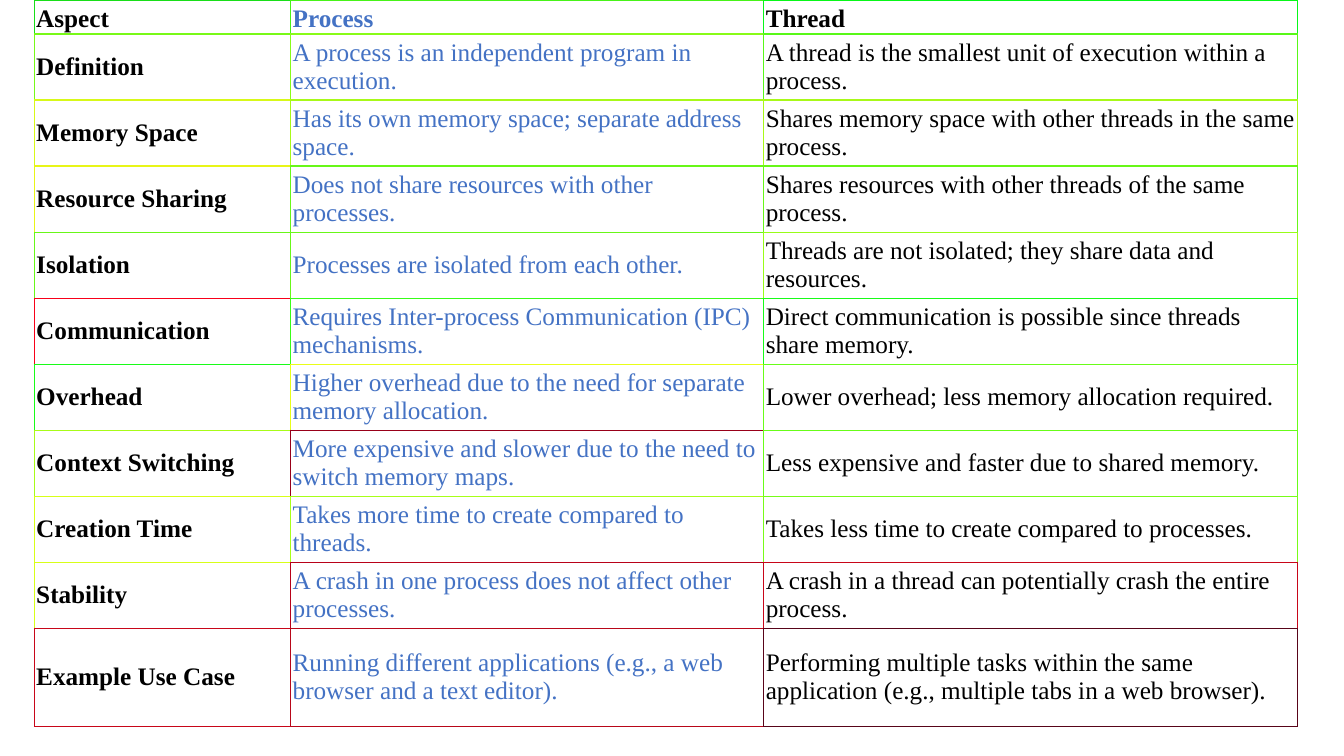
from lxml import etree
from pptx import Presentation, util as u
from pptx.dml.color import RGBColor
from pptx.enum import text
from pptx.oxml import ns

HUES = {"ink": "000000", "blue": "4472C4", "paper": "FFFFFF"}
INKS = ("ink", "blue", "ink")
COLS = (19.08, 35.2, 39.72)
ROWS = (4.5, *[8.74] * 9, 12.97)
FONT = {"name": "Times New Roman", "size": u.Pt(18)}
PADS = {
    "margin_left": u.Inches(0.02), "margin_right": u.Inches(0.02),
    "margin_top": u.Inches(0.01), "margin_bottom": u.Inches(0.01),
}
WORDS = (
    ("Aspect", "Process", "Thread"),
    ("Definition", "A process is an independent program in execution.",
     "A thread is the smallest unit of execution within a process."),
    ("Memory Space", "Has its own memory space; separate address space.",
     "Shares memory space with other threads in the same process."),
    ("Resource Sharing", "Does not share resources with other processes.",
     "Shares resources with other threads of the same process."),
    ("Isolation", "Processes are isolated from each other.",
     "Threads are not isolated; they share data and resources."),
    ("Communication", "Requires Inter-process Communication (IPC) mechanisms.",
     "Direct communication is possible since threads share memory."),
    ("Overhead", "Higher overhead due to the need for separate memory allocation.",
     "Lower overhead; less memory allocation required."),
    ("Context Switching", "More expensive and slower due to the need to switch memory maps.",
     "Less expensive and faster due to shared memory."),
    ("Creation Time", "Takes more time to create compared to threads.",
     "Takes less time to create compared to processes."),
    ("Stability", "A crash in one process does not affect other processes.",
     "A crash in a thread can potentially crash the entire process."),
    ("Example Use Case", "Running different applications (e.g., a web browser and a text editor).",
     "Performing multiple tasks within the same application (e.g., multiple tabs in a web browser)."),
)
EDGES = (
    ("18DE18", "48F318", "08F718"),
    ("78F918", "88FB18", "58F818"),
    ("D8F918", "A8F918", "A8F918"),
    ("E8F518", "68F718", "68F718"),
    ("68F718", "68F718", "98FD18"),
    ("F80019", "38FD18", "18FC18"),
    ("18FC18", "E8FE18", "68FD18"),
    ("A8FC18", "980019", "68FD18"),
    ("D8FF18", "A8FF18", "78FC18"),
    ("D8FF18", "B80119", "C80619"),
    ("C80619", "B80719", "580419"),
)


def put(item, values):
    for key, value in values.items():
        setattr(item, key, value)


class Deck:
    """Holds the style and the current slide; lengths are percent of its size."""

    def __init__(self):
        self.show = Presentation()
        put(self.show, {"slide_width": u.Inches(13.33), "slide_height": u.Inches(7.5)})
        self.page = self.show.slides.add_slide(self.show.slide_layouts[6])

    def wide(self, share):
        return round(self.show.slide_width * share / 100)

    def high(self, share):
        return round(self.show.slide_height * share / 100)

    def grid(self, left, top, cols, rows):
        frame = self.page.shapes.add_table(
            len(rows), len(cols), self.wide(left), self.high(top),
            self.wide(sum(cols)), self.high(sum(rows)))
        grid = frame.table
        put(grid, {"first_row": False, "horz_banding": False})
        for col, share in zip(grid.columns, cols):
            col.width = self.wide(share)
        for row, share in zip(grid.rows, rows):
            row.height = self.high(share)
        return grid

    def cell(self, cell, words, ink, bold, anchor):
        put(cell, {**PADS, "vertical_anchor": anchor})
        cell.fill.solid()
        cell.fill.fore_color.rgb = RGBColor.from_string(HUES["paper"])
        run = cell.text_frame.paragraphs[0].add_run()
        run.text = words
        put(run.font, {**FONT, "bold": bold})
        run.font.color.rgb = RGBColor.from_string(HUES[ink])

    def edge(self, cell, sides):
        props = cell._tc.get_or_add_tcPr()
        for spot, (side, (hue, size)) in enumerate(sides.items()):
            line = etree.Element(ns.qn(f"a:ln{side}"), w=str(u.Pt(size)))
            fill = etree.SubElement(line, ns.qn("a:solidFill"))
            etree.SubElement(fill, ns.qn("a:srgbClr"), val=hue)
            props.insert(spot, line)


def main():
    deck = Deck()
    grid = deck.grid(2.55, 0, COLS, ROWS)
    last, end = len(ROWS) - 1, len(COLS) - 1
    for r, row in enumerate(WORDS):
        anchor = text.MSO_ANCHOR.MIDDLE if r else text.MSO_ANCHOR.BOTTOM
        for c, words in enumerate(row):
            cell, hue = grid.cell(r, c), EDGES[r][c]
            deck.cell(cell, words, INKS[c], r == 0 or c == 0, anchor)
            deck.edge(cell, {
                "L": (hue, 0.5),
                "R": (EDGES[r][min(c + 1, end)], 0.5),
                "T": (hue, 1 if r else 0.5),
                "B": (EDGES[min(r + 1, last)][c], 1 if r < last else 0.5),
            })
    deck.show.save("out.pptx")


if __name__ == "__main__":
    main()
